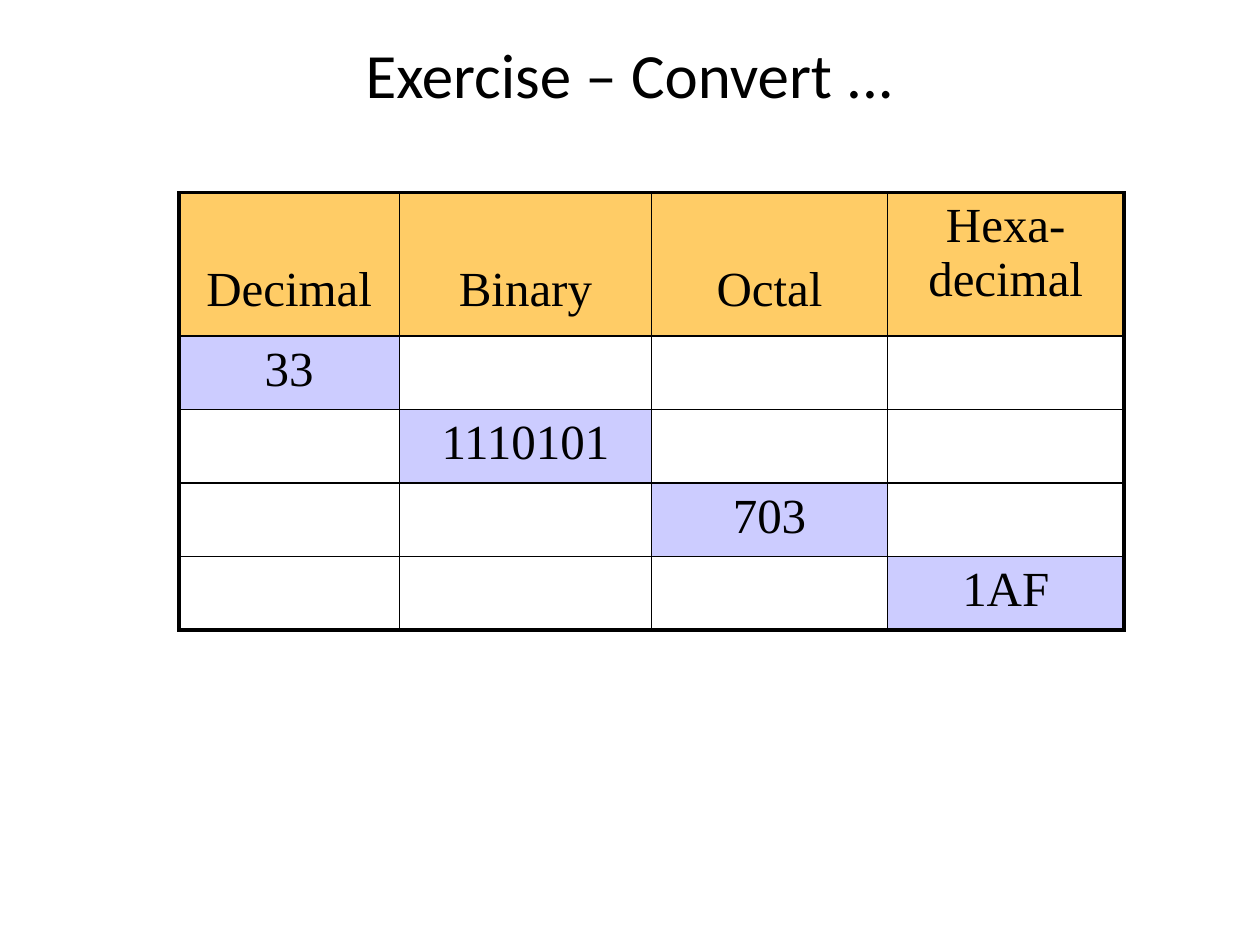
from dataclasses import dataclass

from lxml import etree
from pptx import Presentation
from pptx.dml.color import RGBColor
from pptx.enum.text import MSO_ANCHOR, PP_ALIGN
from pptx.oxml.ns import qn
from pptx.util import Inches, Pt

CENTER = PP_ALIGN.CENTER
TOP, MIDDLE, BOTTOM = MSO_ANCHOR.TOP, MSO_ANCHOR.MIDDLE, MSO_ANCHOR.BOTTOM


@dataclass(frozen=True)
class Theme:
    ink: str = "000000"
    header: str = "FFCC66"
    given: str = "CCCCFF"
    title_font: str = "Calibri"
    table_font: str = "Times New Roman"
    title_size: float = 36
    table_size: float = 28
    outer_line: float = 2.25
    inner_line: float = 1


THEME = Theme()
WIDTH, HEIGHT = Inches(10), Inches(7.5)
TITLE_BOX = (0.075, 0.023, 0.85, 0.11)
TABLE_BOX = (0.142, 0.204, 0.75, 0.463)
COLUMN_UNITS = (14, 16, 15, 15)
ROW_UNITS = (39, 20, 20, 20, 20)
HEADINGS = ("Decimal", "Binary", "Octal", "Hexa-\vdecimal")
GIVEN_NUMBERS = ("33", "1110101", "703", "1AF")


def place(shares):
    left, top, width, height = shares
    return (round(WIDTH * left), round(HEIGHT * top),
            round(WIDTH * width), round(HEIGHT * height))


def write_text(frame, text, *, font, size, color=THEME.ink, align=CENTER):
    para = frame.paragraphs[0]
    para.text = text
    para.alignment = align
    for span in para.runs:
        span.font.name = font
        span.font.size = Pt(size)
        span.font.color.rgb = RGBColor.from_string(color)


def draw_border(cell, side, points):
    properties = cell._tc.get_or_add_tcPr()
    line = etree.SubElement(properties, qn(f"a:ln{side}"), w=str(Pt(points)))
    fill = etree.SubElement(line, qn("a:solidFill"))
    etree.SubElement(fill, qn("a:srgbClr"), val=THEME.ink)


def style_cell(cell, outer_sides, color=None):
    for side in "LRTB":
        width = THEME.outer_line if side in outer_sides else THEME.inner_line
        draw_border(cell, side, width)
    if color:
        cell.fill.solid()
        cell.fill.fore_color.rgb = RGBColor.from_string(color)
    else:
        cell.fill.background()


def add_title(page, box):
    frame = page.shapes.add_textbox(*box).text_frame
    frame.word_wrap = True
    frame.vertical_anchor = MIDDLE
    write_text(frame, "Exercise – Convert ...",
               font=THEME.title_font, size=THEME.title_size)


def add_conversion_table(page, box):
    width, height = box[2:]
    last_row, last_column = len(ROW_UNITS) - 1, len(COLUMN_UNITS) - 1
    table = page.shapes.add_table(last_row + 1, last_column + 1, *box).table
    table.first_row = table.horz_banding = False
    for column, units in zip(table.columns, COLUMN_UNITS):
        column.width = round(width * units / sum(COLUMN_UNITS))
    for row, units in zip(table.rows, ROW_UNITS):
        row.height = round(height * units / sum(ROW_UNITS))

    for row in range(last_row + 1):
        for column in range(last_column + 1):
            cell = table.cell(row, column)
            edges = {"L": column == 0, "R": column == last_column,
                     "T": row == 0, "B": row == last_row}
            outer_sides = [side for side, is_outer in edges.items() if is_outer]
            text, color = "", None
            if row == 0:
                text, color = HEADINGS[column], THEME.header
                cell.vertical_anchor = TOP if "\v" in text else BOTTOM
                cell.margin_bottom = Inches(0.15)
            elif row == column + 1:
                text, color = GIVEN_NUMBERS[column], THEME.given
            style_cell(cell, outer_sides, color)
            if text:
                write_text(cell.text_frame, text,
                           font=THEME.table_font, size=THEME.table_size)


def main():
    deck = Presentation()
    deck.slide_width, deck.slide_height = WIDTH, HEIGHT
    page = deck.slides.add_slide(deck.slide_layouts[6])
    add_title(page, place(TITLE_BOX))
    add_conversion_table(page, place(TABLE_BOX))
    deck.save("out.pptx")


if __name__ == "__main__":
    main()
